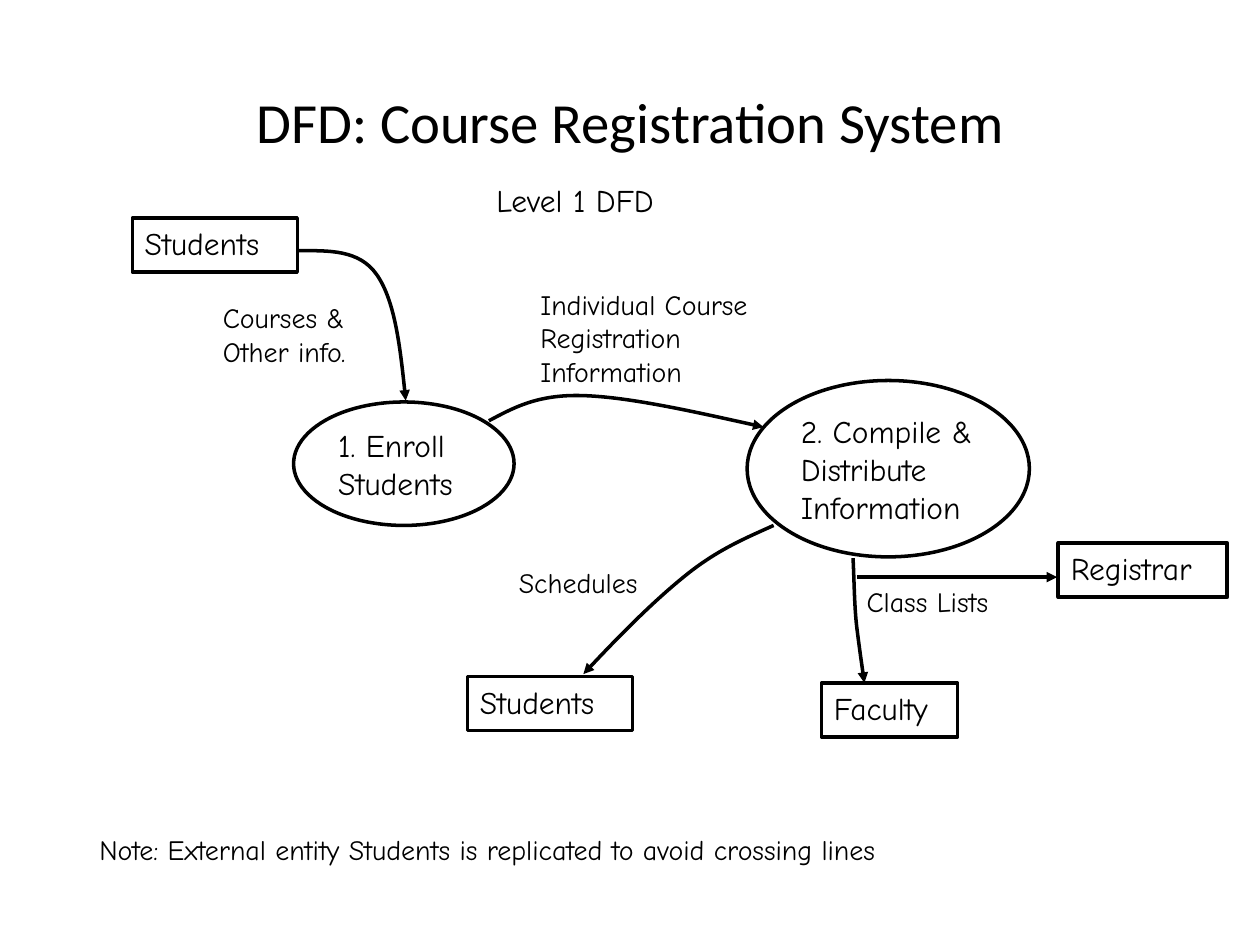
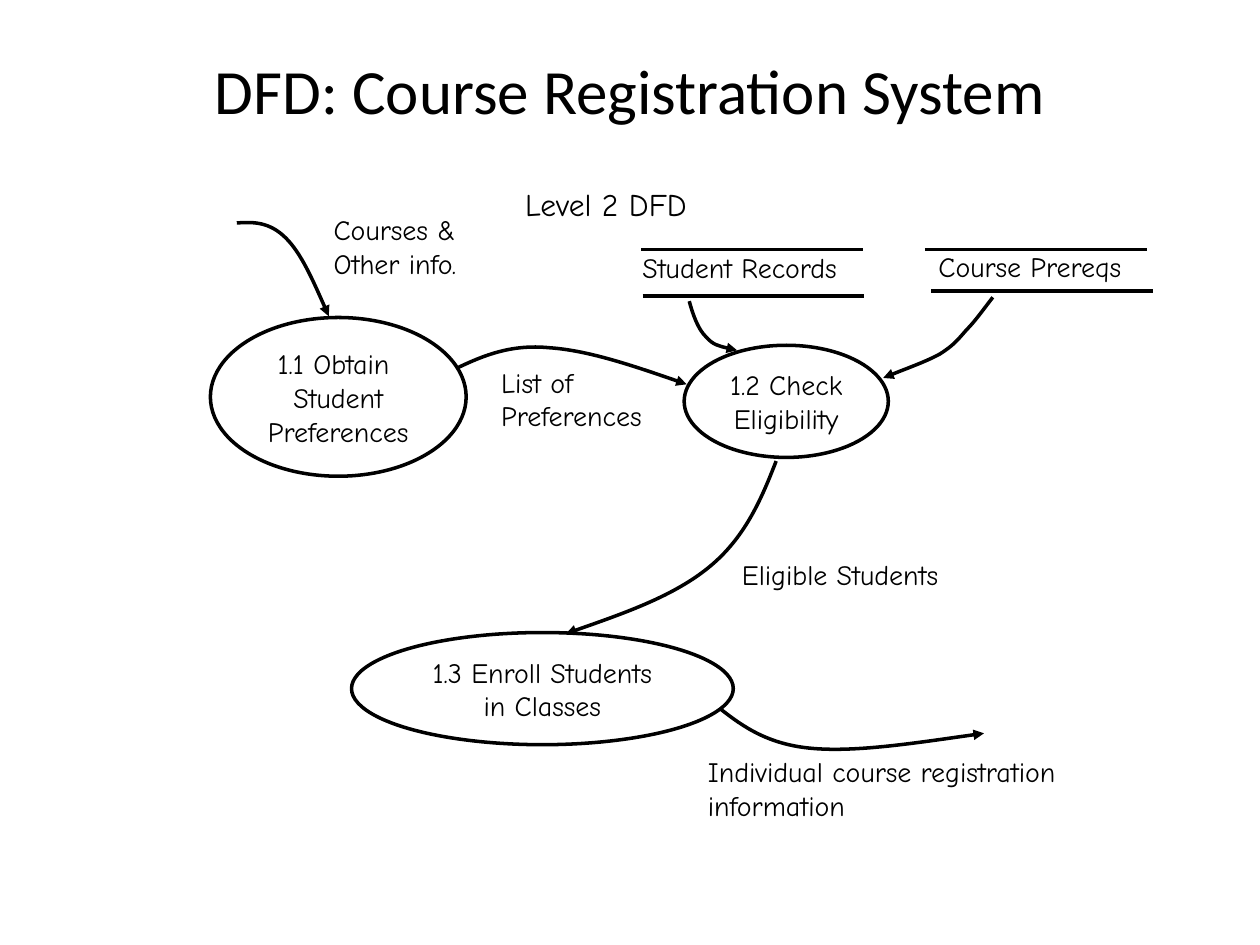
from dataclasses import dataclass

from lxml import etree
from pptx import Presentation
from pptx.dml.color import RGBColor
from pptx.enum.shapes import MSO_CONNECTOR, MSO_SHAPE
from pptx.enum.text import MSO_ANCHOR, MSO_AUTO_SIZE, PP_ALIGN
from pptx.oxml.ns import qn
from pptx.util import Inches, Pt

RECTANGLE, ELLIPSE = MSO_SHAPE.RECTANGLE, MSO_SHAPE.OVAL
STRAIGHT = MSO_CONNECTOR.STRAIGHT
LEFT, CENTER = PP_ALIGN.LEFT, PP_ALIGN.CENTER
TOP, MIDDLE = MSO_ANCHOR.TOP, MSO_ANCHOR.MIDDLE
FIT_SHAPE, FIXED_SIZE = MSO_AUTO_SIZE.SHAPE_TO_FIT_TEXT, MSO_AUTO_SIZE.NONE

INK = "000000"
TITLE_FONT, BODY_FONT = "Calibri", "Comic Neue"
TITLE = "DFD: Course Registration System"
LINE_WIDTH = 2
STORE_WIDTH = 1.76

Box = tuple[float, float, float, float]
Point = tuple[float, float]


@dataclass(frozen=True)
class Label:
    text: str
    box: Box
    size: float = 16


@dataclass(frozen=True)
class Node:
    """A process (ellipse) or an external entity (rectangle)."""
    text: str
    box: Box
    kind: MSO_SHAPE = ELLIPSE
    size: float = 18
    align: PP_ALIGN = LEFT
    line_width: float = LINE_WIDTH


@dataclass(frozen=True)
class Line:
    start: Point
    end: Point
    arrow: bool = False


@dataclass(frozen=True)
class Flow:
    """A curved arrow: a start, then three Bezier points per segment."""
    points: list[Point]


@dataclass(frozen=True)
class Diagram:
    title_box: Box
    title_size: float
    nodes: list[Node]
    flows: list[Flow]
    lines: list[Line]
    labels: list[Label]


def store_lines(top: Point, bottom: Point) -> list[Line]:
    """The two rules of a data store, from their left ends."""
    return [Line((x, y), (x + STORE_WIDTH, y)) for x, y in (top, bottom)]


LEVEL_1 = Diagram(
    title_box=(0.75, 0.67, 8.5, 0.58),
    title_size=32.4,
    nodes=[
        Node("1. Enroll\nStudents", (2.33, 3.19, 1.75, 0.98)),
        Node("2. Compile &\nDistribute\nInformation", (5.93, 3.02, 2.24, 1.4)),
        Node("Students", (1.05, 1.73, 1.31, 0.43), RECTANGLE),
        Node("Faculty", (6.52, 5.42, 1.08, 0.43), RECTANGLE),
        Node("Students", (3.71, 5.37, 1.31, 0.43), RECTANGLE),
        Node("Registrar", (8.4, 4.31, 1.34, 0.43), RECTANGLE, line_width=2.25),
    ],
    flows=[
        Flow([(2.37, 1.99), (2.61, 1.99), (2.85, 1.98), (2.99, 2.18),
              (3.13, 2.38), (3.18, 2.78), (3.22, 3.18)]),
        Flow([(3.88, 3.34), (4.07, 3.24), (4.26, 3.13), (4.62, 3.14),
              (4.98, 3.15), (5.52, 3.27), (6.06, 3.39)]),
        Flow([(6.14, 4.17), (5.92, 4.27), (5.7, 4.36), (5.45, 4.56),
              (5.2, 4.76), (4.91, 5.05), (4.63, 5.35)]),
        Flow([(6.77, 4.43), (6.78, 4.62), (6.78, 4.81), (6.8, 4.98),
              (6.82, 5.14), (6.84, 5.28), (6.86, 5.42)]),
    ],
    lines=[Line((6.8, 4.58), (8.39, 4.58), arrow=True)],
    labels=[
        Label("Courses &\nOther info.", (1.67, 2.34, 1.37, 0.64)),
        Label("Individual Course\nRegistration\nInformation", (4.19, 2.23, 1.99, 0.9)),
        Label("Schedules", (4.02, 4.44, 1.26, 0.37)),
        Label("Class Lists", (6.78, 4.59, 1.3, 0.37)),
        Label("Level 1 DFD", (3.84, 1.39, 1.58, 0.4), 18),
        Label("Note: External entity Students is replicated to avoid crossing lines",
              (0.69, 6.56, 7.15, 0.37)),
    ],
)

LEVEL_2 = Diagram(
    title_box=(0.75, 0.33, 8.5, 0.75),
    title_size=36,
    nodes=[
        Node("1.1 Obtain \nStudent\nPreferences", (1.67, 2.52, 2.03, 1.26),
             size=16, align=CENTER),
        Node("1.2 Check\nEligibility", (5.43, 2.74, 1.62, 0.89),
             size=16, align=CENTER),
        Node("1.3 Enroll Students\nin Classes", (2.79, 5.02, 3.03, 0.89),
             size=16, align=CENTER),
    ],
    flows=[
        Flow([(1.88, 1.77), (2.01, 1.76), (2.14, 1.76), (2.27, 1.89),
              (2.39, 2.01), (2.5, 2.26), (2.61, 2.51)]),
        Flow([(3.63, 2.92), (3.84, 2.82), (4.06, 2.73), (4.36, 2.76),
              (4.66, 2.78), (5.05, 2.91), (5.45, 3.05)]),
        Flow([(5.47, 2.39), (5.5, 2.5), (5.54, 2.61), (5.6, 2.67),
              (5.66, 2.74), (5.76, 2.76), (5.85, 2.78)]),
        Flow([(7.88, 2.36), (7.81, 2.45), (7.74, 2.55), (7.67, 2.62),
              (7.6, 2.7), (7.57, 2.74), (7.46, 2.81),
              (7.35, 2.87), (7.18, 2.93), (7.01, 3)]),
        Flow([(6.16, 3.66), (6.04, 3.97), (5.91, 4.27), (5.63, 4.5),
              (5.35, 4.73), (4.92, 4.88), (4.49, 5.03)]),
        Flow([(5.71, 5.62), (5.9, 5.77), (6.1, 5.91), (6.45, 5.94),
              (6.8, 5.97), (7.31, 5.89), (7.81, 5.82)]),
    ],
    lines=(store_lines((5.09, 1.98), (5.1, 2.35))
           + store_lines((7.34, 1.98), (7.39, 2.31))),
    labels=[
        Label("Level 2 DFD", (4.07, 1.42, 1.62, 0.4), 18),
        Label("Student Records", (5, 1.94, 1.95, 0.37)),
        Label("Course Prereqs", (7.35, 1.93, 1.77, 0.37)),
        Label("Courses &\nOther info.", (2.55, 1.64, 1.37, 0.64)),
        Label("List of\nPreferences", (3.88, 2.85, 1.47, 0.64)),
        Label("Eligible Students", (5.79, 4.38, 1.98, 0.37)),
        Label("Individual course registration\ninformation", (5.52, 5.94, 3.35, 0.64)),
    ],
)


def color(hex_code: str) -> RGBColor:
    return RGBColor.from_string(hex_code)


def write_text(shape, text: str, size: float, align=LEFT, font: str = BODY_FONT) -> None:
    """Write one paragraph per line, in a frame that fits its text."""
    frame = shape.text_frame
    frame.word_wrap = False
    frame.auto_size = FIT_SHAPE
    frame.vertical_anchor = TOP
    for index, words in enumerate(text.split("\n")):
        paragraph = frame.add_paragraph() if index else frame.paragraphs[0]
        paragraph.alignment = align
        run = paragraph.add_run()
        run.text = words
        run.font.name = font
        run.font.size = Pt(size)
        run.font.color.rgb = color(INK)


def style_line(shape, width: float = LINE_WIDTH, arrow: bool = False) -> None:
    shape.line.color.rgb = color(INK)
    shape.line.width = Pt(width)
    if arrow:
        etree.SubElement(shape.line._get_or_add_ln(), qn("a:tailEnd"), type="triangle")


def add_title(slide, box: Box, size: float) -> None:
    title = slide.shapes.add_textbox(*map(Inches, box))
    write_text(title, TITLE, size, CENTER, TITLE_FONT)
    title.text_frame.word_wrap = True
    title.text_frame.auto_size = FIXED_SIZE
    title.text_frame.vertical_anchor = MIDDLE


def add_node(slide, node: Node) -> None:
    shape = slide.shapes.add_shape(node.kind, *map(Inches, node.box))
    shape.shadow.inherit = False
    shape.fill.background()
    style_line(shape, node.line_width)
    write_text(shape, node.text, node.size, node.align)


def add_flow(slide, flow: Flow) -> None:
    start, *rest = [(Inches(x), Inches(y)) for x, y in flow.points]
    builder = slide.shapes.build_freeform(*start)
    builder.add_line_segments(rest, close=False)
    curve = builder.convert_to_shape()
    curve.shadow.inherit = False
    curve.fill.background()
    style_line(curve, arrow=True)

    # Join every three straight segments into one Bezier segment
    outline = curve._element.find(".//" + qn("a:path"))
    segments = outline.findall(qn("a:lnTo"))
    for first in range(0, len(segments), 3):
        bezier = etree.SubElement(outline, qn("a:cubicBezTo"))
        for segment in segments[first:first + 3]:
            bezier.append(segment[0])
            outline.remove(segment)


def add_line(slide, line: Line) -> None:
    connector = slide.shapes.add_connector(
        STRAIGHT, *map(Inches, line.start + line.end))
    style_line(connector, arrow=line.arrow)
    etree.SubElement(connector._element.spPr, qn("a:effectLst"))


def add_label(slide, label: Label) -> None:
    box = slide.shapes.add_textbox(*map(Inches, label.box))
    write_text(box, label.text, label.size)


def add_diagram(deck, diagram: Diagram) -> None:
    slide = deck.slides.add_slide(deck.slide_layouts[6])
    add_title(slide, diagram.title_box, diagram.title_size)
    for node in diagram.nodes:
        add_node(slide, node)
    for flow in diagram.flows:
        add_flow(slide, flow)
    for line in diagram.lines:
        add_line(slide, line)
    for label in diagram.labels:
        add_label(slide, label)


def main() -> None:
    deck = Presentation()
    deck.slide_width, deck.slide_height = Inches(10), Inches(7.5)
    for diagram in (LEVEL_1, LEVEL_2):
        add_diagram(deck, diagram)
    deck.save("out.pptx")


if __name__ == "__main__":
    main()
